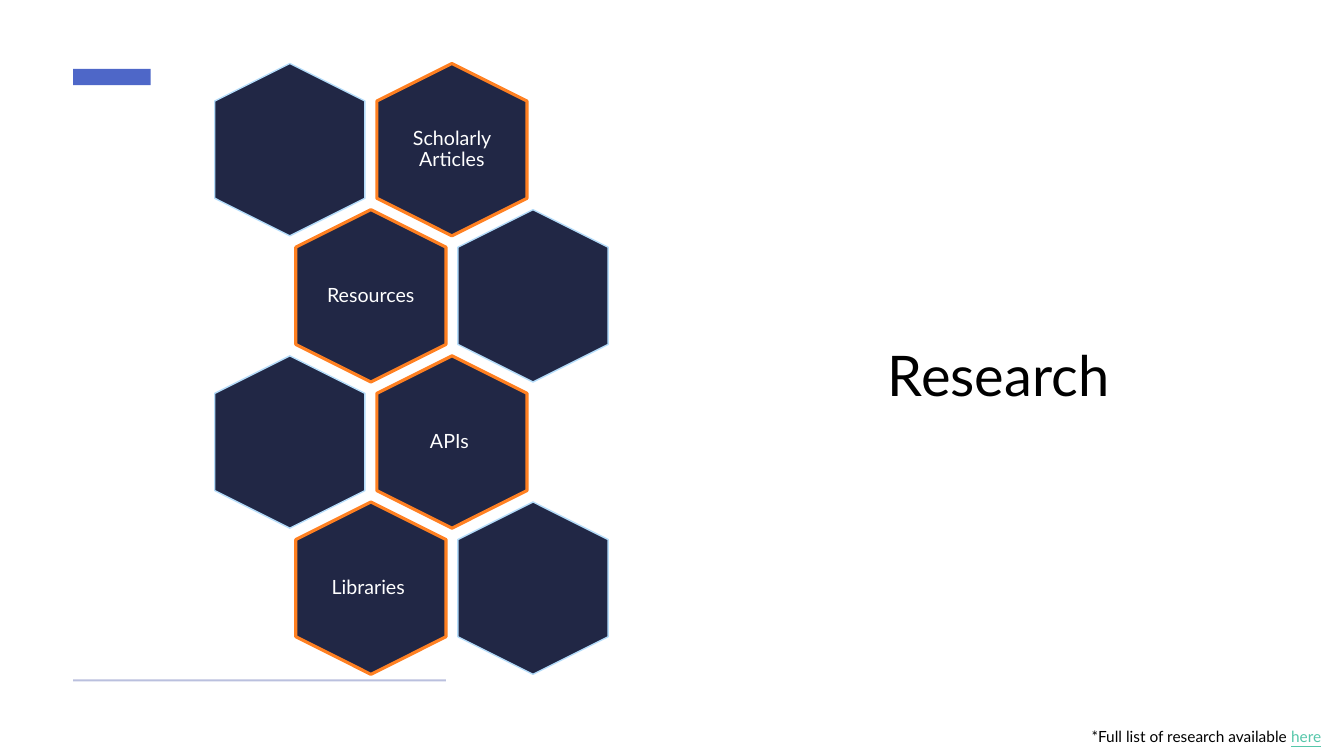
import pptx
import pptx.util
import pptx.dml.color
import pptx.enum.shapes
import pptx.enum.text
from dataclasses import dataclass

Pt = pptx.util.Pt
SHAPE = pptx.enum.shapes.MSO_SHAPE
ANCHOR = pptx.enum.text.MSO_ANCHOR
ALIGN = pptx.enum.text.PP_ALIGN

TITLE = "Research"
TOPICS = ["Scholarly Articles", "Resources", "APIs ", "Libraries "]
FOOTNOTE = "*Full list of research available "
FOOTNOTE_LINK = "here"


@dataclass(frozen=True)
class Theme:
    font: str = "Lato"
    background: str = "FFFFFF"
    ink: str = "000000"
    navy: str = "212745"
    light: str = "FFFFFF"
    orange: str = "FF8021"
    pale_blue: str = "B4DCFA"
    accent: str = "4E67C8"
    rule: str = "BAC0DE"
    link: str = "56C7AA"
    title_size: float = 40
    topic_size: float = 14
    note_size: float = 11
    topic_line: float = 2.25
    blank_line: float = 1


THEME = Theme()

HEX_W, HEX_H = 123.1, 107.3
FIRST_X, FIRST_Y = 207, 106.9
HALF_STEP, ROW_STEP = 57.9, 104.4
LABEL_W, LABEL_H = 73.4, 85
LABEL_INSET = 4.2


def rgb(value):
    return pptx.dml.color.RGBColor.from_string(value)


def place(sp, left, top, width, height):
    sp.left, sp.top, sp.width, sp.height = Pt(left), Pt(top), Pt(width), Pt(height)


def add_run(p, text, size, color):
    r = p.add_run()
    r.text = text
    r.font.name = THEME.font
    r.font.size = Pt(size)
    r.font.color.rgb = rgb(color)
    return r


def add_filled(s, kind, box, fill):
    sp = s.shapes.add_shape(kind, *map(Pt, box))
    sp.shadow.inherit = False
    sp.fill.solid()
    sp.fill.fore_color.rgb = rgb(fill)
    sp.line.fill.background()
    return sp


def add_hexagon(s, cx, cy, color, weight):
    box = (cx - HEX_W / 2, cy - HEX_H / 2, HEX_W, HEX_H)
    sp = add_filled(s, SHAPE.HEXAGON, box, THEME.navy)
    sp.rotation = 90
    sp.line.color.rgb = rgb(color)
    sp.line.width = Pt(weight)


def add_label(s, cx, cy, text):
    box = (cx - LABEL_W / 2, cy - LABEL_H / 2, LABEL_W, LABEL_H)
    tf = s.shapes.add_textbox(*map(Pt, box)).text_frame
    tf.word_wrap = True
    tf.vertical_anchor = ANCHOR.MIDDLE
    tf.margin_left = tf.margin_right = Pt(LABEL_INSET)
    tf.margin_top = tf.margin_bottom = Pt(LABEL_INSET)
    p = tf.paragraphs[0]
    p.alignment = ALIGN.CENTER
    p.line_spacing = 0.9
    add_run(p, text, THEME.topic_size, THEME.light)


def add_title(s):
    sp = s.shapes.title
    place(sp, 627, 75.6, 266.4, 389.5)
    tf = sp.text_frame
    tf.word_wrap = True
    tf.vertical_anchor = ANCHOR.MIDDLE
    p = tf.paragraphs[0]
    p.alignment = ALIGN.LEFT
    p.line_spacing = 0.9
    add_run(p, TITLE, THEME.title_size, THEME.ink)


def add_honeycomb(s):
    for row, topic in enumerate(TOPICS):
        odd = row % 2
        topic_x = FIRST_X + HALF_STEP * (2 - odd)
        blank_x = FIRST_X + HALF_STEP * 3 * odd
        cy = FIRST_Y + ROW_STEP * row
        add_hexagon(s, topic_x, cy, THEME.orange, THEME.topic_line)
        add_label(s, topic_x, cy, topic)
        add_hexagon(s, blank_x, cy, THEME.pale_blue, THEME.blank_line)


def add_footnote(s):
    tf = s.shapes.add_textbox(Pt(772.6), Pt(515.5), Pt(187.2), Pt(20.9)).text_frame
    tf.word_wrap = False
    tf.auto_size = pptx.enum.text.MSO_AUTO_SIZE.SHAPE_TO_FIT_TEXT
    p = tf.paragraphs[0]
    add_run(p, FOOTNOTE, THEME.note_size, THEME.ink)
    r = add_run(p, FOOTNOTE_LINK, THEME.note_size, THEME.link)
    r.font.underline = True


def main():
    prs = pptx.Presentation()
    prs.slide_width, prs.slide_height = Pt(960), Pt(540)
    s = prs.slides.add_slide(prs.slide_layouts[5])
    s.background.fill.solid()
    s.background.fill.fore_color.rgb = rgb(THEME.background)
    add_title(s)
    add_filled(s, SHAPE.RECTANGLE, (52.2, 49.3, 55.5, 11.5), THEME.accent)
    add_filled(s, SHAPE.RECTANGLE, (52.2, 485.3, 266.4, 1.44), THEME.rule)
    add_honeycomb(s)
    add_footnote(s)
    prs.save("out.pptx")


if __name__ == "__main__":
    main()
